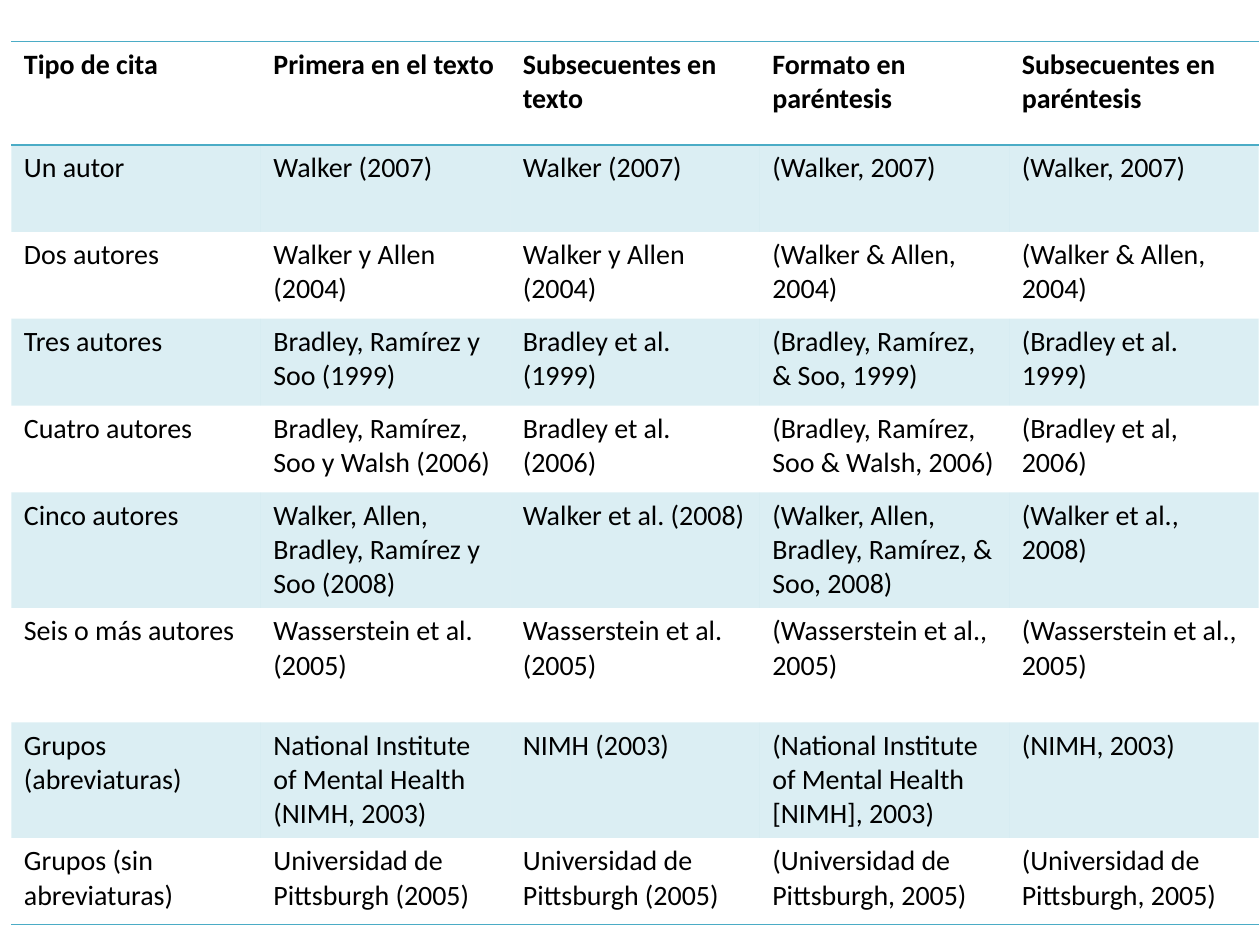
from lxml.etree import SubElement
from pptx import Presentation
from pptx.dml.color import RGBColor as RGB
from pptx.oxml import parse_xml
from pptx.oxml.ns import nsdecls, qn
from pptx.util import Inches, Pt

COLORS = {"text": "000000", "accent": "4BACC6"}
NO_STYLE = "{2D5ABB26-0587-4C30-8999-92F81FD0307C}"
BAND_ALPHA = 20000

CITATIONS = [
    ["Tipo de cita", "Primera en el texto", "Subsecuentes en texto",
     "Formato en paréntesis", "Subsecuentes en paréntesis"],
    ["Un autor", "Walker (2007)", "Walker (2007)",
     "(Walker, 2007)", "(Walker, 2007)"],
    ["Dos autores", "Walker y Allen (2004)", "Walker y Allen (2004)",
     "(Walker & Allen, 2004)", "(Walker & Allen, 2004)"],
    ["Tres autores", "Bradley, Ramírez y Soo (1999)", "Bradley et al. (1999)",
     "(Bradley, Ramírez, & Soo, 1999)", "(Bradley et al. 1999)"],
    ["Cuatro autores", "Bradley, Ramírez, Soo y Walsh (2006)", "Bradley et al. (2006)",
     "(Bradley, Ramírez, Soo & Walsh, 2006)", "(Bradley et al, 2006)"],
    ["Cinco autores", "Walker, Allen, Bradley, Ramírez y Soo (2008)", "Walker et al. (2008)",
     "(Walker, Allen, Bradley, Ramírez, & Soo, 2008)", "(Walker et al., 2008)"],
    ["Seis o más autores", "Wasserstein et al. (2005)", "Wasserstein et al. (2005)",
     "(Wasserstein et al., 2005)", "(Wasserstein et al., 2005)"],
    ["Grupos (abreviaturas)", "National Institute of Mental Health (NIMH, 2003)", "NIMH (2003)",
     "(National Institute of Mental Health [NIMH], 2003)", "(NIMH, 2003)"],
    ["Grupos (sin abreviaturas)", "Universidad de Pittsburgh (2005)",
     "Universidad de Pittsburgh (2005)",
     "(Universidad de Pittsburgh, 2005)", "(Universidad de Pittsburgh, 2005)"],
]
HEADER, TWO_LINES, THREE_LINES = 0.82, 0.69, 0.91
ROW_HEIGHTS = [HEADER] + [TWO_LINES] * 4 + [THREE_LINES] * 3 + [TWO_LINES]
COLUMN_WIDTH = 1.98


def write(frame, text, size=16, bold=False, color="text", font="Calibri"):
    run = frame.paragraphs[0].add_run()
    run.text = text
    run.font.name = font
    run.font.size = Pt(size)
    run.font.bold = bold
    run.font.color.rgb = RGB.from_string(COLORS[color])


def add_rule(cell, side):
    rule = parse_xml(
        f'<a:{side} {nsdecls("a")} w="{Pt(1)}"><a:solidFill>'
        f'<a:srgbClr val="{COLORS["accent"]}"/></a:solidFill></a:{side}>')
    cell._tc.get_or_add_tcPr().insert(0, rule)


deck = Presentation()
deck.slide_width, deck.slide_height = Inches(10), Inches(7.5)
slide = deck.slides.add_slide(deck.slide_layouts[6])

row_count, column_count = len(CITATIONS), len(CITATIONS[0])
citation_frame = slide.shapes.add_table(
    row_count, column_count, Inches(0.09), Inches(0.33),
    Inches(COLUMN_WIDTH * column_count), Inches(sum(ROW_HEIGHTS)))
citations = citation_frame.table
citations._tbl.tblPr.find(qn("a:tableStyleId")).text = NO_STYLE

for column in citations.columns:
    column.width = Inches(COLUMN_WIDTH)

for row, (height, entries) in enumerate(zip(ROW_HEIGHTS, CITATIONS)):
    citations.rows[row].height = Inches(height)
    for column, entry in enumerate(entries):
        cell = citations.cell(row, column)
        write(cell.text_frame, entry, bold=row == 0)
        if row % 2:
            cell.fill.solid()
            cell.fill.fore_color.rgb = RGB.from_string(COLORS["accent"])
            tint = cell._tc.tcPr.find(".//" + qn("a:srgbClr"))
            SubElement(tint, qn("a:alpha"), val=str(BAND_ALPHA))
        else:
            cell.fill.background()
        if row in (0, row_count - 1):
            add_rule(cell, "lnB")
        if row == 0:
            add_rule(cell, "lnT")

deck.save("out.pptx")
